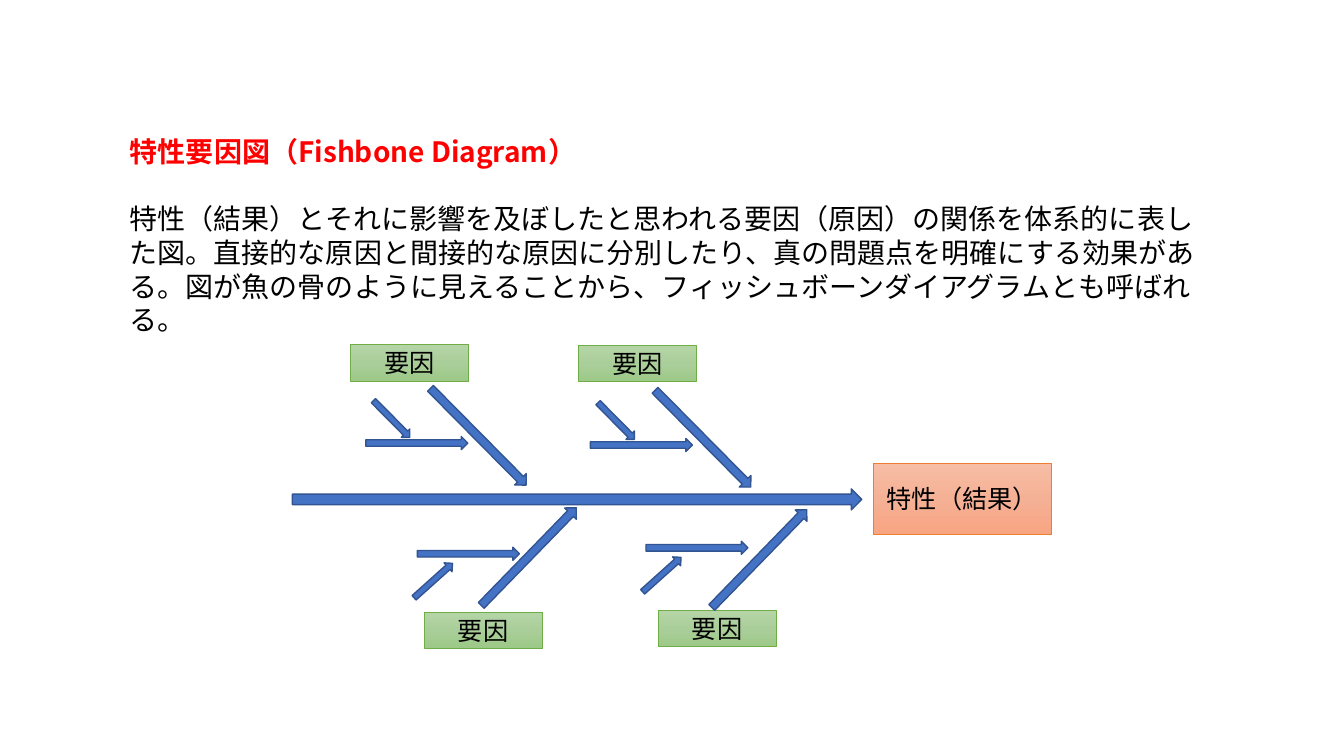
from copy import deepcopy
from dataclasses import dataclass

from pptx import Presentation
from pptx.dml.color import RGBColor
from pptx.enum.shapes import MSO_SHAPE
from pptx.enum.text import MSO_ANCHOR, PP_ALIGN
from pptx.oxml.ns import qn
from pptx.util import Cm, Pt

ARROW, BOX = MSO_SHAPE.RIGHT_ARROW, MSO_SHAPE.RECTANGLE
TOP, MIDDLE = MSO_ANCHOR.TOP, MSO_ANCHOR.MIDDLE
LEFT, CENTER = PP_ALIGN.LEFT, PP_ALIGN.CENTER


@dataclass(frozen=True)
class Theme:
    font: str = "Noto Sans CJK JP"
    heading: str = "FF0000"
    text: str = "000000"
    arrow: str = "4472C4"
    arrow_line: str = "325491"
    result: tuple = ("F7BDA5", "F5B196", "F8A582")
    result_line: str = "ED7D31"
    factor: tuple = ("B5D5A7", "AACE9A", "9CC987")
    factor_line: str = "70AD47"
    body_size: int = 20
    label_size: int = 18
    line_pitch: int = 24


THEME = Theme()


def write(frame, text, size, color, align, anchor, bold=False):
    frame.word_wrap = True
    frame.vertical_anchor = anchor
    paragraph = frame.paragraphs[0]
    paragraph.alignment = align
    run = paragraph.add_run()
    run.text = text
    font = run.font
    font.name, font.size, font.bold = THEME.font, Pt(size), bold
    font.color.rgb = RGBColor.from_string(color)
    east_asian = font._element.makeelement(qn("a:ea"), {"typeface": THEME.font})
    font._element.find(qn("a:latin")).addnext(east_asian)
    return paragraph


def add_part(kind, place, size, fill, line, line_width, angle=0, text=None):
    part = slide.shapes.add_shape(kind, *map(Cm, place + size))
    part.shadow.inherit = False
    part.rotation = angle
    part.line.color.rgb = RGBColor.from_string(line)
    part.line.width = Pt(line_width)
    if isinstance(fill, str):
        part.fill.solid()
        part.fill.fore_color.rgb = RGBColor.from_string(fill)
    else:
        part.fill.gradient()
        part.fill.gradient_angle = 270
        stops = part._element.spPr.find(".//" + qn("a:gsLst"))
        stops.insert(1, deepcopy(stops[0]))
        for stop, position, color in zip(part.fill.gradient_stops, (0, 0.5, 1), fill):
            stop.position = position
            stop.color.rgb = RGBColor.from_string(color)
    if text:
        write(part.text_frame, text, THEME.label_size, THEME.text, CENTER, MIDDLE)


presentation = Presentation()
presentation.slide_width, presentation.slide_height = Cm(33.87), Cm(19.05)
slide = presentation.slides.add_slide(presentation.slide_layouts[5])

# Heading and explanation
heading = slide.shapes.title
heading.left, heading.top, heading.width, heading.height = map(Cm, (3.02, 3.25, 27.81, 1.1))
explanation = slide.shapes.add_textbox(*map(Cm, (3.02, 4.96, 27.81, 3.68)))
for box, text, color, bold in (
    (heading, "特性要因図（Fishbone Diagram）", THEME.heading, True),
    (explanation,
     "特性（結果）とそれに影響を及ぼしたと思われる要因（原因）の関係を体系的に表した図。"
     "直接的な原因と間接的な原因に分別したり、真の問題点を明確にする効果がある。"
     "図が魚の骨のように見えることから、フィッシュボーンダイアグラムとも呼ばれる。",
     THEME.text, False),
):
    paragraph = write(box.text_frame, text, THEME.body_size, color, LEFT, TOP, bold)
    paragraph.line_spacing = Pt(THEME.line_pitch)

# Spine and result
arrow_style = (THEME.arrow, THEME.arrow_line, 1)
add_part(ARROW, (7.37, 12.32), (14.35, 0.53), *arrow_style)
add_part(BOX, (22, 11.68), (4.5, 1.78), THEME.result, THEME.result_line, 0.5,
         text="特性（結果）")

# Angles of bone and twig, and offset of the twig from its branch
above = (45.3, 45.3, 0, -0.59)
below = (314.2, 318.1, -0.25, 0.69)

# Factors: label, bone and branch positions
factors = (
    (above, (8.84, 8.69), (10.34, 10.8), (9.22, 11)),
    (above, (14.58, 8.71), (16, 10.85), (14.88, 11.05)),
    (below, (10.69, 15.42), (11.61, 13.82), (10.52, 13.79)),
    (below, (16.59, 15.39), (17.42, 13.87), (16.28, 13.64)),
)
for (bone_angle, twig_angle, dx, dy), label, bone, branch in factors:
    twig = (branch[0] + dx, branch[1] + dy)
    add_part(BOX, label, (2.97, 0.91), THEME.factor, THEME.factor_line, 0.5, text="要因")
    add_part(ARROW, bone, (3.43, 0.41), *arrow_style, angle=bone_angle)
    add_part(ARROW, branch, (2.57, 0.33), *arrow_style)
    add_part(ARROW, twig, (1.3, 0.3), *arrow_style, angle=twig_angle)

presentation.save("out.pptx")
